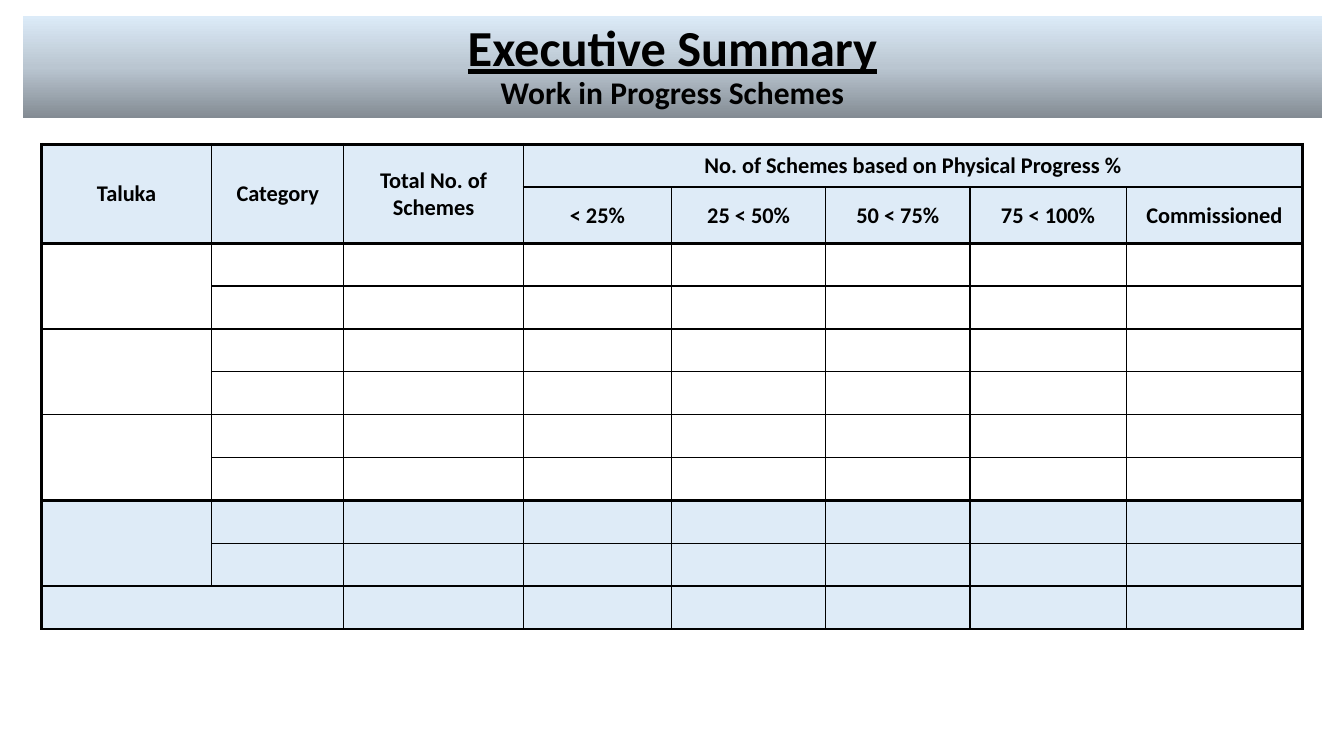
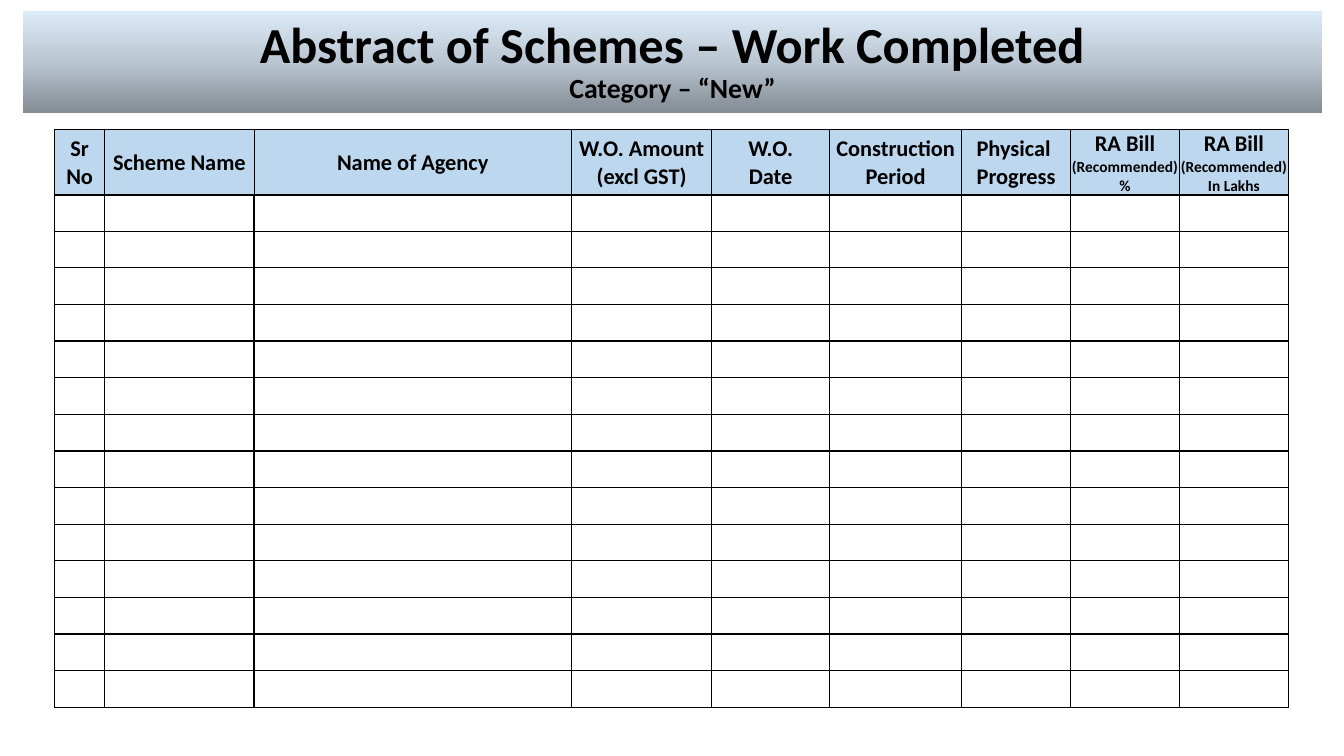
from copy import deepcopy
from lxml import etree
from pptx import Presentation
from pptx import util as u
from pptx.dml.color import RGBColor
from pptx.enum import shapes, text
from pptx.oxml.ns import qn


def color(code):
    return RGBColor.from_string(code)


class Deck:
    font = "Calibri"
    ink = "000000"
    pale = "DEEBF7"
    blue = "BDD7EE"
    shade = [(0, "838B93"), (0.5, "BAC6D1"), (1, "DCEBF8")]

    def __init__(self):
        self.prs = Presentation()
        self.prs.slide_width = u.Inches(13.33)
        self.prs.slide_height = u.Inches(7.5)
        self.slide = None

    def page(self):
        self.slide = self.prs.slides.add_slide(self.prs.slide_layouts[6])

    def box(self, left, top, width, height):
        wide, high = self.prs.slide_width, self.prs.slide_height
        return [round(share * full / 100) for share, full in
                zip((left, top, width, height), (wide, high, wide, high))]

    def label(self, frame, paras, space=None):
        for i, runs in enumerate(paras):
            para = frame.add_paragraph() if i else frame.paragraphs[0]
            para.alignment = text.PP_ALIGN.CENTER
            para.line_spacing = space
            for words, size, under in runs:
                for j, line in enumerate(words.split("\n")):
                    if j:
                        para.add_line_break()
                    if line:
                        run = para.add_run()
                        run.text = line
                        run.font.name = self.font
                        run.font.size = u.Pt(size)
                        run.font.bold = True
                        run.font.underline = under
                        run.font.color.rgb = color(self.ink)

    def title(self, top, runs):
        band = self.slide.shapes.add_shape(
            shapes.MSO_SHAPE.RECTANGLE, *self.box(1.73, top, 96.62, 13.47))
        band.shadow.inherit = False
        band.line.fill.background()
        band.fill.gradient()
        band.fill.gradient_angle = 90
        stops = band._element.spPr.find(".//" + qn("a:gsLst"))
        stops.insert(1, deepcopy(stops[0]))
        for stop, (spot, code) in zip(band.fill.gradient_stops, self.shade):
            stop.position = spot
            stop.color.rgb = color(code)
        band.text_frame.word_wrap = True
        band.text_frame.vertical_anchor = text.MSO_ANCHOR.MIDDLE
        self.label(band.text_frame, [runs], 0.9)

    def edge(self, cell, side, width):
        line = etree.SubElement(cell._tc.get_or_add_tcPr(), qn("a:ln" + side),
                                w=str(u.Pt(width)))
        fill = etree.SubElement(line, qn("a:solidFill"))
        etree.SubElement(fill, qn("a:srgbClr"), val=self.ink)

    def table(self, place, cols, rows, words=None, spans=(), fills=None,
              thin=1, thick=2.25, bars=(), posts=()):
        words, fills = words or {}, fills or {}
        left, top, width, height = self.box(*place)
        grid = self.slide.shapes.add_table(
            len(rows), len(cols), left, top, width, height).table
        grid.first_row = grid.horz_banding = False
        for col, part in zip(grid.columns, cols):
            col.width = round(width * part / sum(cols))
        for row, part in zip(grid.rows, rows):
            row.height = round(height * part / sum(rows))
        for r, c, down, over in spans:
            grid.cell(r, c).merge(grid.cell(r + down - 1, c + over - 1))
        for r in range(len(rows)):
            for c in range(len(cols)):
                cell = grid.cell(r, c)
                cell.margin_left = cell.margin_right = u.Inches(0.01)
                cell.margin_top, cell.margin_bottom = u.Inches(0.01), 0
                cell.vertical_anchor = text.MSO_ANCHOR.MIDDLE
                if not cell.is_spanned:
                    down = cell.span_height if cell.is_merge_origin else 1
                    over = cell.span_width if cell.is_merge_origin else 1
                    for side, spot, heavy in (("L", c, posts), ("R", c + over, posts),
                                              ("T", r, bars), ("B", r + down, bars)):
                        self.edge(cell, side, thick if spot in heavy else thin)
                if r in fills:
                    cell.fill.solid()
                    cell.fill.fore_color.rgb = color(fills[r])
                else:
                    cell.fill.background()
                if (r, c) in words:
                    self.label(cell.text_frame, words[r, c])


def head(*lines):
    return [[(line, size, False)] for line, size in lines]


deck = Deck()

deck.page()
deck.title(2.13, [("Executive Summary\n", 36, True),
                  ("Work in Progress Schemes", 22.5, False)])
tops = ["Taluka", "Category", "Total No. of Schemes",
        "No. of Schemes based on Physical Progress %"]
steps = ["< 25%", "25 < 50%", "50 < 75%", "75 < 100%", "Commissioned"]
words = {(0, c): head((name, 16)) for c, name in enumerate(tops)}
words.update({(1, c): head((name, 16)) for c, name in enumerate(steps, 3)})
deck.table((3.08, 19.07, 93.85, 64.13),
           [1.69, 1.31, 1.78, 1.47, 1.53, 1.43, 1.55, 1.75],
           [1, 1.31] + [1] * 9, words,
           spans=[(0, c, 2, 1) for c in range(3)] + [(0, 3, 1, 5), (10, 0, 1, 2)]
           + [(r, 0, 2, 1) for r in range(2, 10, 2)],
           fills={r: deck.pale for r in (0, 1, 8, 9, 10)},
           bars=(0, 2, 8, 10, 11), posts=(0, 8))

deck.page()
deck.title(1.47, [("Abstract of Schemes – Work Completed\n", 36, False),
                  ("Category – “New”", 19.8, False)])
cols = [0.5, 1.48, 3.15, 1.39, 1.17, 1.31, 1.08, 1.08, 1.08]
names = ["Sr No", "Scheme Name", "Name of Agency", "W.O. Amount\n(excl GST)",
         "W.O.\nDate", "Construction\nPeriod"]
heads = [head((name, 16)) for name in names]
heads.append(head(("Physical ", 16), ("Progress", 16)))
heads += [head(("RA Bill", 16), ("(Recommended)", 11), (unit, 11))
          for unit in ("%", "In Lakhs")]
deck.table((4.05, 17.07, 91.82, 8.67), cols, [1],
           {(0, c): paras for c, paras in enumerate(heads)},
           fills={0: deck.blue}, thin=0.5, thick=1, bars=(1,))
deck.table((4.05, 25.73, 91.82, 67.87), cols, [1] * 14)

deck.prs.save("out.pptx")
